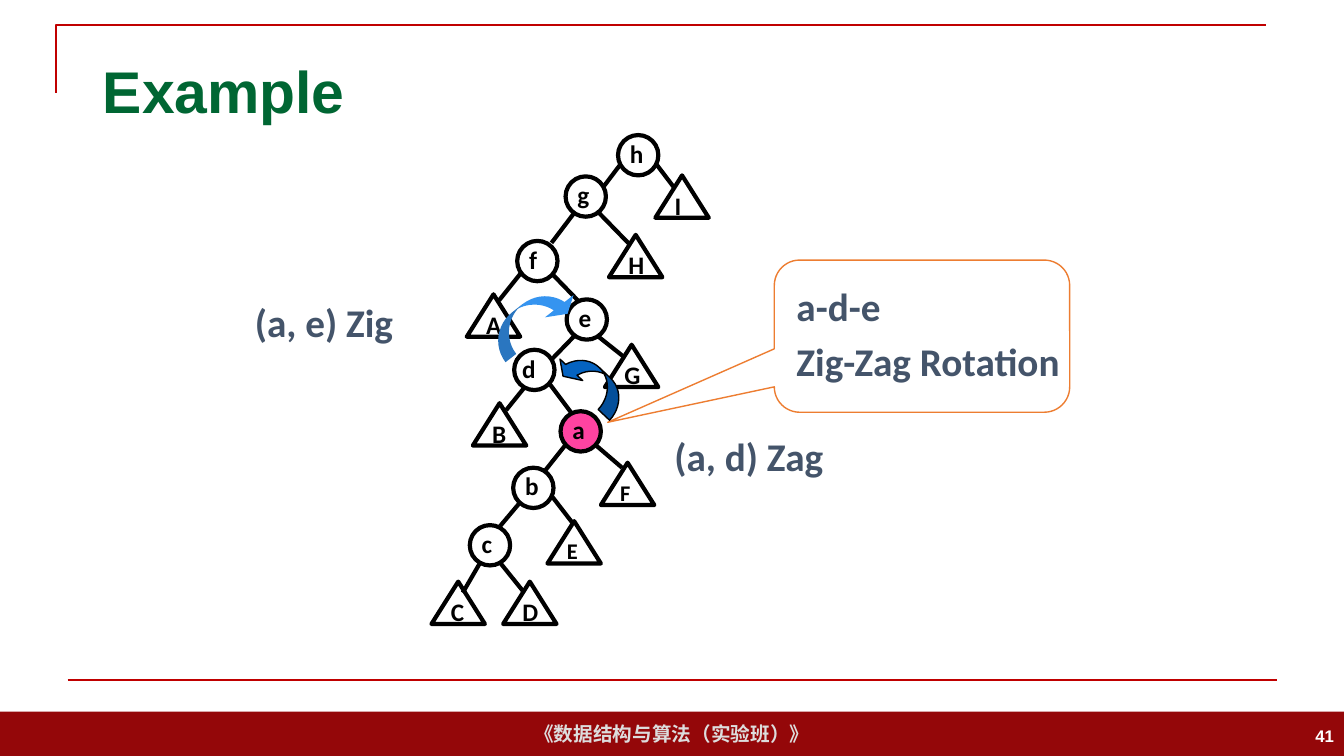
from pptx import Presentation
from pptx.dml.color import RGBColor
from pptx.enum.shapes import MSO_CONNECTOR, MSO_SHAPE as Preset
from pptx.enum.text import MSO_ANCHOR as Anchor, PP_ALIGN as Align
from pptx.oxml.ns import qn
from pptx.util import Inches, Pt
from lxml.etree import SubElement

BLACK = RGBColor(0x00, 0x00, 0x00)
WHITE = RGBColor(0xFF, 0xFF, 0xFF)
MAROON = RGBColor(0x94, 0x07, 0x09)
RED = RGBColor(0xC0, 0x00, 0x00)
GREEN = RGBColor(0x00, 0x66, 0x33)
SILVER = RGBColor(0xDD, 0xDD, 0xDD)
SLATE = RGBColor(0x44, 0x54, 0x6A)
ORANGE = RGBColor(0xED, 0x7D, 0x31)
PINK = RGBColor(0xFF, 0x43, 0xA1)
BLUE = RGBColor(0x05, 0x63, 0xC1)
LIGHT_BLUE = RGBColor(0x35, 0x94, 0xF0)

INNER_SIZE = 0.4
LEAF_WIDTH, LEAF_HEIGHT = 0.53, 0.42

UNFILLED_LEAVES = [
    ("H", 6.04, 2.33, 18), ("A", 4.63, 2.92, 18), ("B", 4.69, 4, 18),
    ("C", 4.28, 5.77, 18), ("D", 4.99, 5.77, 18), ("E", 5.43, 5.17, 16),
    ("F", 5.96, 4.59, 16),
]
FILLED_LEAVES = [("G", 6, 3.42, 18), ("I", 6.5, 1.74, 18)]
INNER_NODES = [
    ("h", 6.13, 1.34), ("g", 5.61, 1.75), ("f", 5.13, 2.39), ("e", 5.62, 2.97),
    ("d", 5.1, 3.47), ("c", 4.66, 5.21), ("b", 5.09, 4.64), ("a", 5.56, 4.08),
]
EDGES = [
    (6.23, 1.53, 5.98, 1.86), (5.72, 2.08, 5.47, 2.41), (5.27, 2.58, 4.95, 2.98),
    (5.43, 2.67, 5.75, 3), (5.7, 3.33, 5.38, 3.66), (5.86, 3.28, 6.25, 3.59),
    (6.48, 1.59, 6.73, 1.92), (5.88, 2.05, 6.25, 2.43), (5.43, 3.78, 5.67, 4.1),
    (4.96, 5.22, 5.33, 4.78), (5.35, 4.74, 5.62, 4.4), (5.89, 4.4, 6.17, 4.64),
    (5.35, 3.66, 5.02, 4.07), (4.81, 5.5, 4.59, 5.88), (4.91, 5.52, 5.2, 5.88),
    (5.34, 4.75, 5.68, 5.19),
]


class TreeSlide:
    heading_font = "Arial"
    body_font = "Calibri"

    def __init__(self, deck):
        self.slide = deck.slides.add_slide(deck.slide_layouts[5])
        self.shapes = self.slide.shapes

    def paint(self, shape, fill=None, line=None, width=1):
        shape.shadow.inherit = False
        if fill is None:
            shape.fill.background()
        else:
            shape.fill.solid()
            shape.fill.fore_color.rgb = fill
        if line is None:
            shape.line.fill.background()
        else:
            shape.line.color.rgb = line
            shape.line.width = Pt(width)

    def put_text(self, frame, lines, size, color, font=body_font, align=Align.LEFT,
                 anchor=Anchor.TOP, wrap=True):
        frame.word_wrap = wrap
        frame.vertical_anchor = anchor
        for index, line in enumerate(lines):
            paragraph = frame.add_paragraph() if index else frame.paragraphs[0]
            paragraph.alignment = align
            if index:
                paragraph.space_before = Pt(6)
            run = paragraph.add_run()
            run.text = line
            run.font.name = font
            run.font.size = Pt(size)
            run.font.bold = True
            run.font.color.rgb = color

    def title(self, text, *box):
        heading = self.shapes.title
        heading.left, heading.top, heading.width, heading.height = map(Inches, box)
        self.put_text(heading.text_frame, [text], 42, GREEN, self.heading_font,
                      anchor=Anchor.MIDDLE)

    def label(self, text, box, size=28, color=SLATE, **style):
        frame = self.shapes.add_textbox(*map(Inches, box)).text_frame
        self.put_text(frame, [text], size, color, **style)

    def preset(self, kind, box, adjustments=(), rotation=0, **colors):
        shape = self.shapes.add_shape(kind, *map(Inches, box))
        for index, value in enumerate(adjustments):
            shape.adjustments[index] = value
        shape.rotation = rotation
        self.paint(shape, **colors)
        return shape

    def node(self, kind, text, box, size=18, fill=None):
        frame = self.preset(kind, box, fill=fill, line=BLACK, width=3).text_frame
        frame.margin_left = Inches(0.02 if text == "d" else 0.06)
        frame.margin_top = Inches(0.01)
        frame.margin_right = Inches(0.1)
        frame.margin_bottom = Inches(0.05)
        self.put_text(frame, [text], size, BLACK, anchor=Anchor.MIDDLE, wrap=False)

    def leaves(self, rows, fill=None):
        for text, left, top, size in rows:
            self.node(Preset.ISOSCELES_TRIANGLE, text,
                      (left, top, LEAF_WIDTH, LEAF_HEIGHT), size, fill)

    def line(self, ends, color, width):
        connector = self.shapes.add_connector(MSO_CONNECTOR.STRAIGHT, *map(Inches, ends))
        connector.line.color.rgb = color
        connector.line.width = Pt(width)
        SubElement(connector._element.spPr, qn("a:effectLst"))

    def corner(self, *points):
        start, *rest = [(Inches(x), Inches(y)) for x, y in points]
        builder = self.shapes.build_freeform(*start)
        builder.add_line_segments(rest, close=False)
        self.paint(builder.convert_to_shape(), line=RED, width=1.5)


def main():
    deck = Presentation()
    deck.slide_width, deck.slide_height = Inches(13.33), Inches(7.5)
    page = TreeSlide(deck)

    footer = page.preset(Preset.RECTANGLE, (0, 7.06, 13.33, 0.44), fill=MAROON)
    page.put_text(footer.text_frame, ["《数据结构与算法（实验班）》"], 14, SILVER,
                  page.heading_font, Align.CENTER, Anchor.MIDDLE, wrap=False)
    page.corner((0.56, 0.92), (0.56, 0.25), (12.56, 0.25))
    page.line((0.67, 6.75, 12.67, 6.75), RED, 1.5)
    page.title("Example", 0.92, 0.4, 11.5, 0.99)
    page.label("41", (10.33, 7.1, 3, 0.4), 12, WHITE, font=page.heading_font,
               align=Align.RIGHT, anchor=Anchor.MIDDLE)

    page.leaves(UNFILLED_LEAVES)
    for ends in EDGES:
        page.line(ends, BLACK, 3)

    page.preset(Preset.ROUNDED_RECTANGULAR_CALLOUT, (7.68, 2.58, 2.93, 1.51),
                (-1.064, 0.566, 0.167), fill=WHITE, line=ORANGE)
    rotation_note = page.preset(Preset.ROUNDED_RECTANGULAR_CALLOUT,
                                (7.74, 2.69, 3.29, 1.25), (-0.438, 0.7, 0.167))
    page.put_text(rotation_note.text_frame, ["a-d-e", "Zig-Zag Rotation"], 28, SLATE)

    for text, left, top in INNER_NODES:
        page.node(Preset.OVAL, text, (left, top, INNER_SIZE, INNER_SIZE),
                  fill=PINK if text == "a" else WHITE)
    page.leaves(FILLED_LEAVES, WHITE)

    page.label("(a, e) Zig", (2.43, 2.91, 2.2, 0.57))
    page.preset(Preset.CURVED_UP_ARROW, (5.47, 3.63, 0.79, 0.31),
                (0.501, 1.001, 0.333), 223.4, fill=BLUE, line=BLACK)
    page.preset(Preset.CURVED_LEFT_ARROW, (5.11, 2.68, 0.35, 0.96),
                (0.385, 1.026, 0.315), 232, fill=LIGHT_BLUE)
    page.label("(a, d) Zag", (6.59, 4.24, 2.2, 0.57))

    deck.save("out.pptx")


if __name__ == "__main__":
    main()
